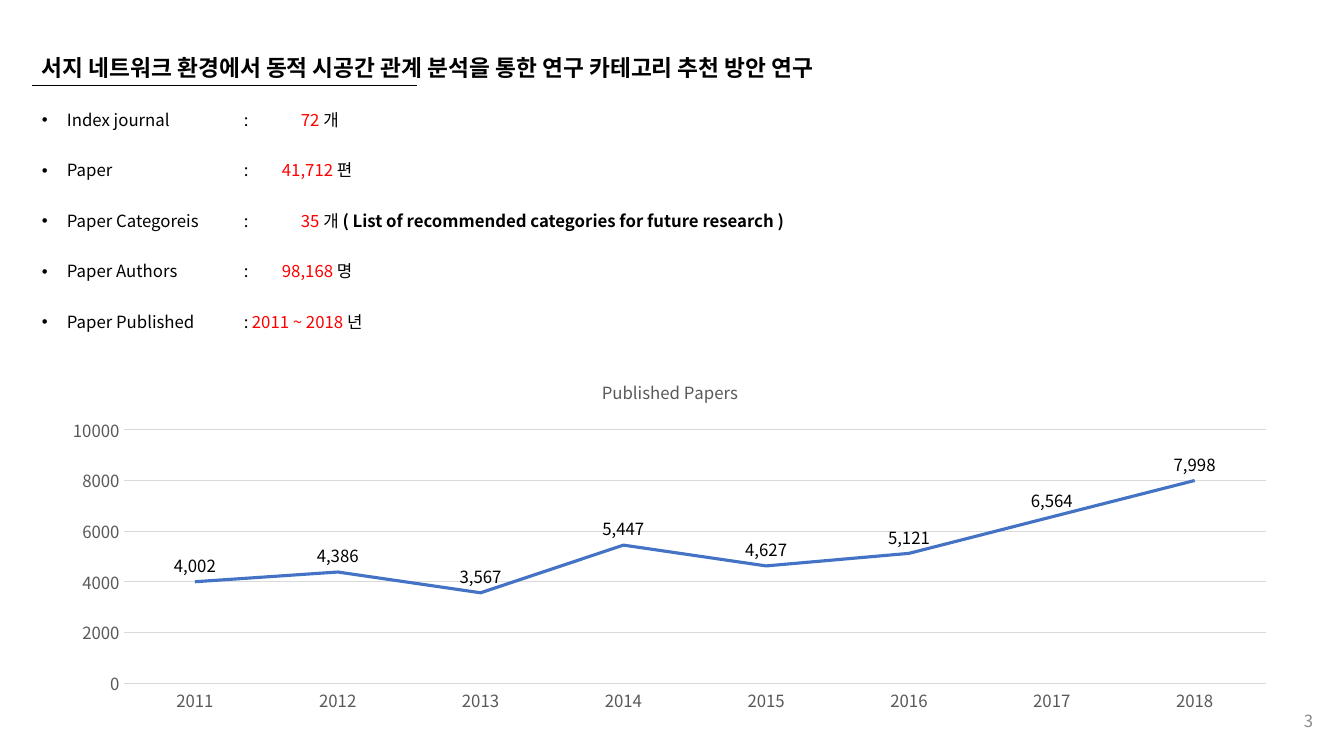
from dataclasses import dataclass
from lxml.etree import SubElement
from pptx import Presentation
from pptx.chart.data import CategoryChartData
from pptx.dml.color import RGBColor
from pptx.enum.chart import XL_CHART_TYPE as ChartType, XL_LABEL_POSITION as LabelPosition
from pptx.enum.chart import XL_MARKER_STYLE as Marker, XL_TICK_MARK as TickMark
from pptx.enum.shapes import MSO_CONNECTOR as Connector
from pptx.enum.text import MSO_ANCHOR as Anchor, PP_ALIGN as Align
from pptx.oxml import parse_xml
from pptx.oxml.ns import nsdecls, qn
from pptx.util import Emu, Pt


@dataclass(frozen=True)
class Theme:
    font: str = "Noto Sans CJK KR"
    ink: RGBColor = RGBColor(0, 0, 0)
    accent: RGBColor = RGBColor(255, 0, 0)
    axis: RGBColor = RGBColor(0x59, 0x59, 0x59)
    grid: RGBColor = RGBColor(0xD9, 0xD9, 0xD9)
    series: RGBColor = RGBColor(0x44, 0x72, 0xC4)
    number: RGBColor = RGBColor(0x8C, 0x8C, 0x8C)
    title_size: float = 16.2
    body_size: float = 12


theme = Theme()
PX = 914400 / 100.8


def px(*lengths):
    return [Emu(round(length * PX)) for length in lengths]


def write(para, text, size=theme.body_size, color=theme.ink, bold=False):
    span = para.add_run()
    span.text = text
    span.font.size = Pt(size)
    span.font.bold = bold
    span.font.color.rgb = color
    span.font.name = theme.font
    SubElement(span.font._element, qn("a:ea"), typeface=theme.font)


deck = Presentation()
deck.slide_width, deck.slide_height = px(1344, 756)
page = deck.slides.add_slide(deck.slide_layouts[6])

rule = page.shapes.add_connector(Connector.STRAIGHT, *px(32, 85, 417, 85))
rule.line.color.rgb = theme.ink
rule.line.width = Pt(0.5)
SubElement(rule._element.spPr, qn("a:effectLst"))

frames = []
for place, anchor in [
    ((32, 49, 863, 36), Anchor.MIDDLE),
    ((1021, 701, 302, 40), Anchor.MIDDLE),
    ((32, 107, 1291, 252), Anchor.TOP),
]:
    frame = page.shapes.add_textbox(*px(*place)).text_frame
    frame.word_wrap = True
    frame.vertical_anchor = anchor
    frames.append(frame)
title_frame, number_frame, facts_frame = frames

write(title_frame.paragraphs[0], "서지 네트워크 환경에서 동적 시공간 관계 분석을 통한 연구 카테고리 추천 방안 연구",
      size=theme.title_size, bold=True)
number_frame.paragraphs[0].alignment = Align.RIGHT
write(number_frame.paragraphs[0], "3", color=theme.number)

COLON_TAB = 202
facts = [
    ("Index journal", "72", "개", "", 259),
    ("Paper", "41,712", "편", "", 240),
    ("Paper Categoreis", "35", "개", "( List of recommended categories for future research )", 259),
    ("Paper Authors", "98,168", "명", "", 240),
    ("Paper Published", "2011 ~ 2018", "년", "", 210),
]
for index, (label, value, unit, remark, value_tab) in enumerate(facts):
    para = facts_frame.paragraphs[0] if index == 0 else facts_frame.add_paragraph()
    para.line_spacing = 0.9
    para.space_before = Pt(23.1 if index else 0)
    layout = para._p.get_or_add_pPr()
    indent = px(25)[0]
    layout.set("marL", str(indent))
    layout.set("indent", str(-indent))
    SubElement(layout, qn("a:buFont"), typeface="Arial")
    SubElement(layout, qn("a:buChar"), char="•")
    tabs = SubElement(layout, qn("a:tabLst"))
    for stop in px(COLON_TAB, value_tab):
        SubElement(tabs, qn("a:tab"), pos=str(stop), algn="l")
    write(para, f"{label}\t:\t")
    write(para, f"{value} ", color=theme.accent)
    write(para, f"{unit} " if remark else unit)
    if remark:
        write(para, remark, bold=True)

papers = CategoryChartData()
papers.categories = [str(year) for year in range(2011, 2019)]
papers.add_series("Published Papers", (4002, 4386, 3567, 5447, 4627, 5121, 6564, 7998))
chart = page.shapes.add_chart(ChartType.LINE, *px(49, 362, 1242, 357), papers).chart
chart.has_legend = False
chart.font.name = theme.font
chart.font.size = Pt(theme.body_size)
chart.font.color.rgb = theme.axis
chart.has_title = True
write(chart.chart_title.text_frame.paragraphs[0], "Published Papers", color=theme.axis)
chart.chart_title.include_in_layout = False

plot = chart.plots[0]
plot.vary_by_categories = False
line = plot.series[0]
line.smooth = False
line.marker.style = Marker.NONE
line.format.line.color.rgb = theme.series
line.format.line.width = Pt(2.25)
labels = line.data_labels
labels.show_value = True
labels.position = LabelPosition.ABOVE
labels.number_format = "#,##0"
labels.number_format_is_linked = False
labels.font.name = theme.font
labels.font.size = Pt(theme.body_size)
labels.font.color.rgb = theme.ink

years, counts = chart.category_axis, chart.value_axis
for axis in (years, counts):
    axis.major_tick_mark = axis.minor_tick_mark = TickMark.NONE
counts.minimum_scale, counts.maximum_scale, counts.major_unit = 0, 10000, 2000
counts.tick_labels.number_format = "0"
counts.tick_labels.number_format_is_linked = False
counts.format.line.fill.background()
for stroke in (years.format.line, counts.major_gridlines.format.line):
    stroke.color.rgb = theme.grid
    stroke.width = Pt(0.75)

plot_area = chart._chartSpace.chart.plotArea
for old in plot_area.findall(qn("c:layout")):
    plot_area.remove(old)
plot_area.insert(0, parse_xml(
    f'<c:layout {nsdecls("c")}><c:manualLayout><c:layoutTarget val="inner"/>'
    '<c:xMode val="edge"/><c:yMode val="edge"/><c:x val="0.06"/><c:y val="0.19"/>'
    '<c:w val="0.92"/><c:h val="0.71"/></c:manualLayout></c:layout>'))

deck.save("out.pptx")
